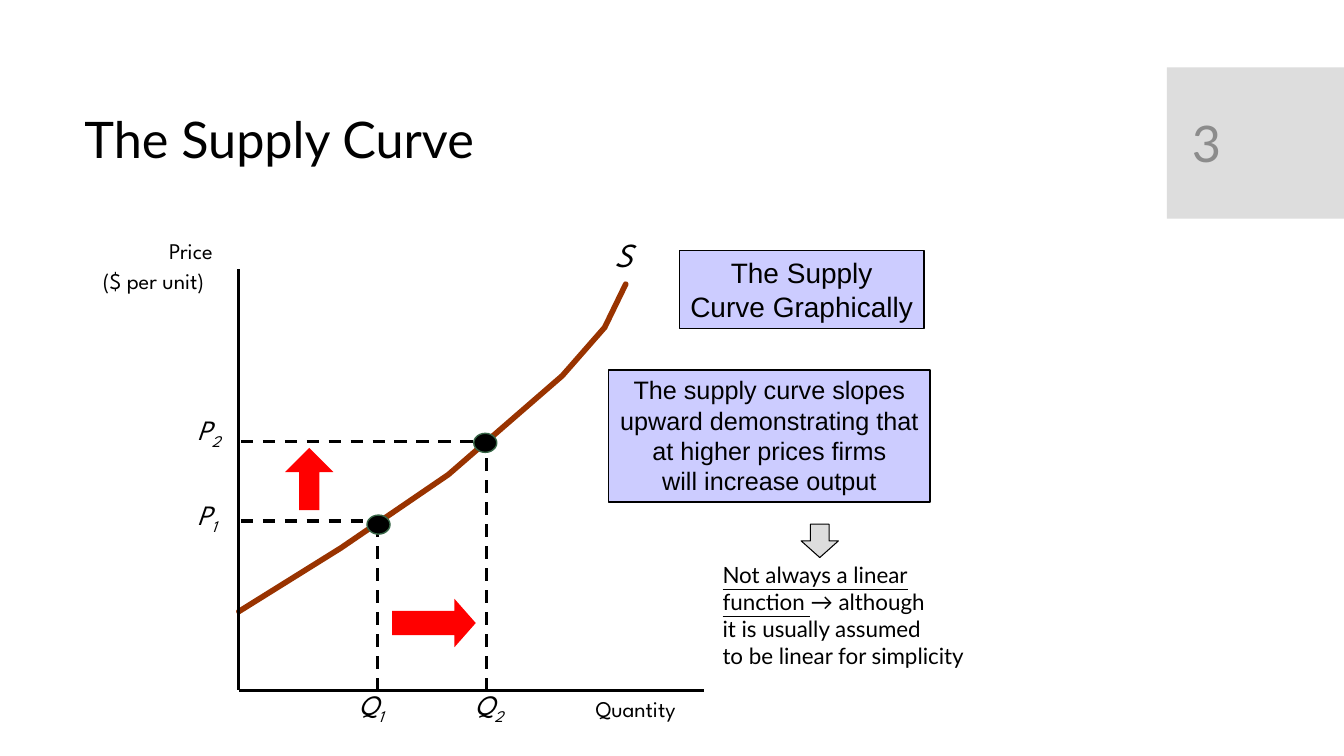
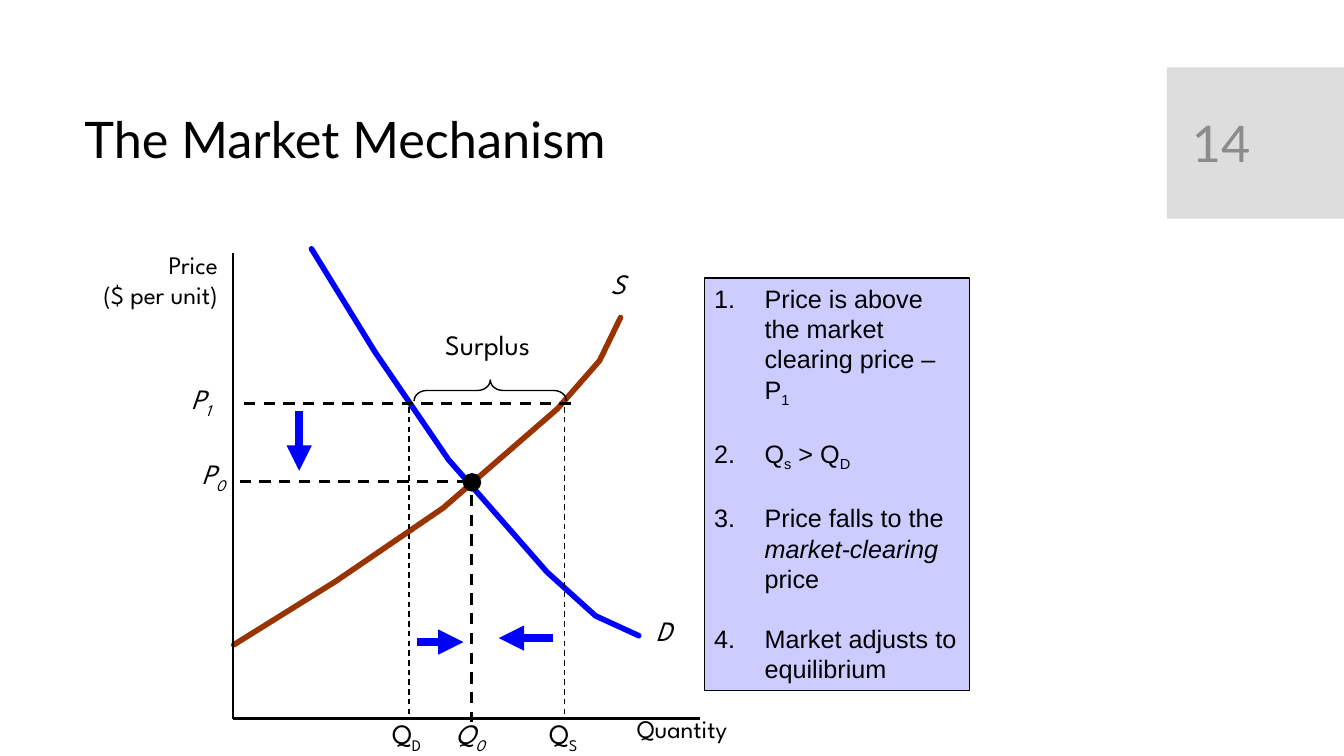
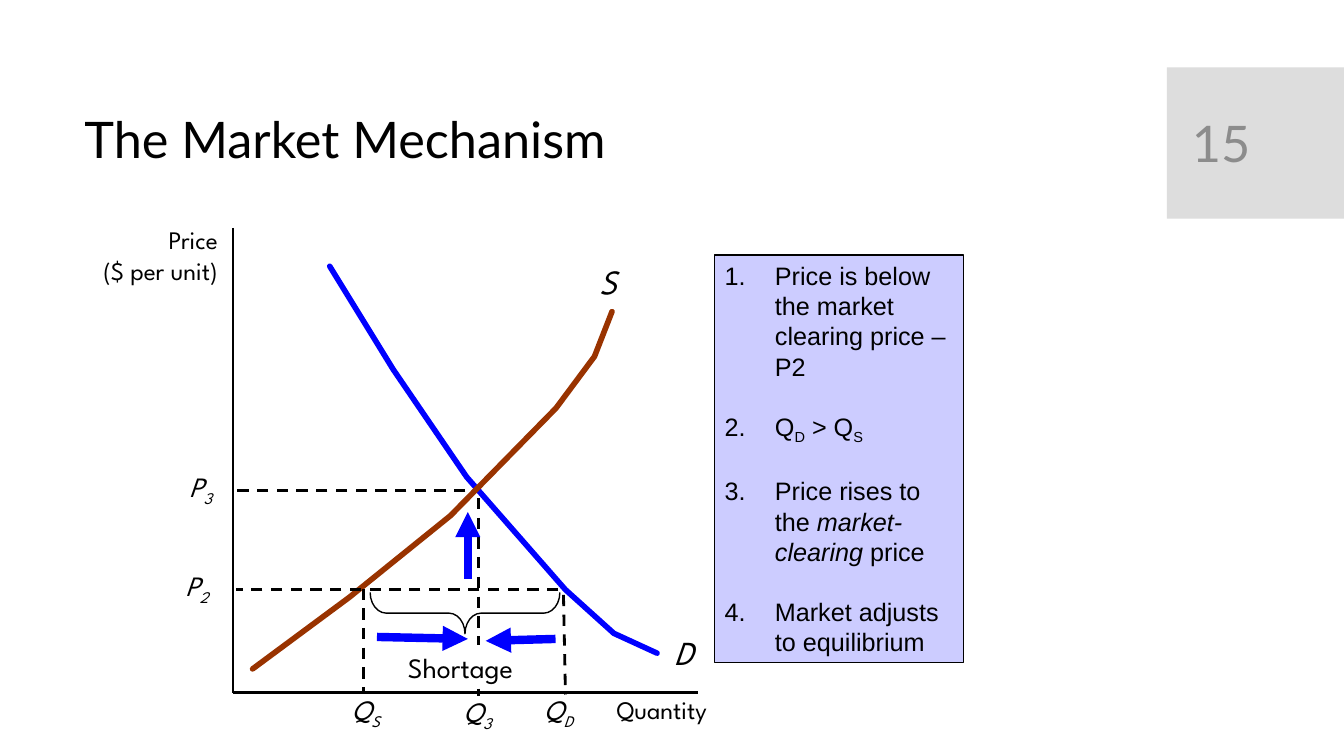
from dataclasses import dataclass
from typing import NamedTuple

from lxml import etree
from pptx import Presentation
from pptx.dml.color import RGBColor
from pptx.enum.dml import MSO_LINE
from pptx.enum.shapes import MSO_CONNECTOR, MSO_SHAPE
from pptx.enum.text import MSO_ANCHOR, MSO_AUTO_SIZE, PP_ALIGN
from pptx.oxml.ns import qn
from pptx.util import Cm, Pt

RECT = MSO_SHAPE.RECTANGLE
OVAL = MSO_SHAPE.OVAL
RIGHT_ARROW = MSO_SHAPE.RIGHT_ARROW
DOWN_ARROW = MSO_SHAPE.DOWN_ARROW
BRACE = MSO_SHAPE.LEFT_BRACE
STRAIGHT = MSO_CONNECTOR.STRAIGHT
DASH = MSO_LINE.DASH
TOP, MIDDLE = MSO_ANCHOR.TOP, MSO_ANCHOR.MIDDLE
LEFT, CENTER, RIGHT = PP_ALIGN.LEFT, PP_ALIGN.CENTER, PP_ALIGN.RIGHT
GROW, FIXED = MSO_AUTO_SIZE.SHAPE_TO_FIT_TEXT, MSO_AUTO_SIZE.NONE


@dataclass(frozen=True)
class Theme:
    black: str = "000000"
    band: str = "DDDDDD"
    page: str = "8C8C8C"
    panel: str = "CCCCFF"
    supply: str = "993300"
    demand: str = "0000FF"
    shift: str = "FF0000"
    rim: str = "376546"
    head: str = "Lato"
    chart: str = "League Spartan"
    body: str = "Arial"
    title: int = 36
    large: int = 24
    mid: int = 20
    text: int = 18
    small: int = 16
    gap: float = 21.5


THEME = Theme()


class Run(NamedTuple):
    words: str
    low: bool = False
    slant: bool = False
    under: bool = False
    size: int | None = None


class Box(NamedTuple):
    x: float
    y: float
    w: float
    h: float

    def cm(self) -> list[int]:
        return [Cm(side) for side in self]


class Line(NamedTuple):
    x1: float
    y1: float
    x2: float
    y2: float


class Curve(NamedTuple):
    points: tuple[tuple[float, float], ...]
    color: str


class Mark(NamedTuple):
    x: float
    y: float
    base: str
    low: str
    slant: bool = True


SUPPLY = Curve(
    ((0, 8.25), (2.57, 6.65), (5.28, 4.8), (8.15, 2.31), (9.22, 1.09), (9.75, 0)),
    THEME.supply,
)
DEMAND = Curve(
    ((0, 0), (1.6, 2.6), (3.45, 5.31), (5.94, 8.15), (7.16, 9.25), (8.25, 9.75)),
    THEME.demand,
)
TILT = -4.6


def paint(color: str) -> RGBColor:
    return RGBColor.from_string(color)


def write(
    frame, paras: list, *, size: int, face: str, color: str = THEME.black,
    align=LEFT, anchor=TOP, wrap: bool = False, fit=GROW,
    lead: float | None = None, gap: float = 0, count: bool = False,
) -> None:
    frame.word_wrap = wrap
    frame.auto_size = fit
    frame.vertical_anchor = anchor
    for index, runs in enumerate(paras):
        para = frame.add_paragraph() if index else frame.paragraphs[0]
        para.alignment = align
        if lead:
            para.line_spacing = lead
        if index and gap:
            para.space_before = Pt(gap)
        if count:
            props = para._p.get_or_add_pPr()
            props.set("marL", str(Cm(1.27)))
            props.set("indent", str(Cm(-1.27)))
            etree.SubElement(props, qn("a:buAutoNum"), type="arabicPeriod")
        for run in [Run(runs)] if isinstance(runs, str) else runs:
            piece = para.add_run()
            piece.text = run.words
            font = piece.font
            font.name = face
            font.size = Pt(run.size or size)
            font.color.rgb = paint(color)
            font.italic = run.slant
            font.underline = run.under
            if run.low:
                piece._r.get_or_add_rPr().set("baseline", "-25000")


def label(slide, box: Box, paras: list, *, turn: float = 0, **style) -> None:
    shape = slide.shapes.add_textbox(*box.cm())
    shape.rotation = turn
    write(shape.text_frame, paras, **style)


def draw(
    slide, kind, box: Box, *, fill: str | None = None, edge: str | None = None,
    width: float = 1, turn: float = 0, bends: tuple[float, ...] = (),
):
    shape = slide.shapes.add_shape(kind, *box.cm())
    shape.shadow.inherit = False
    shape.rotation = turn
    for index, bend in enumerate(bends):
        shape.adjustments[index] = bend
    if fill:
        shape.fill.solid()
        shape.fill.fore_color.rgb = paint(fill)
    else:
        shape.fill.background()
    if edge:
        shape.line.color.rgb = paint(edge)
        shape.line.width = Pt(width)
    else:
        shape.line.fill.background()
    return shape


def panel(slide, box: Box, paras: list, **style) -> None:
    shape = draw(slide, RECT, box, fill=THEME.panel, edge=THEME.black)
    write(shape.text_frame, paras, face=THEME.body, **style)


def steps(slide, box: Box, paras: list, fit) -> None:
    panel(slide, box, paras, size=THEME.text, wrap=True, fit=fit,
          gap=THEME.gap, count=True)


def rule(
    slide, line: Line, *, color: str = THEME.black, width: float = 2,
    dash: bool = False, arrow: bool = False,
) -> None:
    link = slide.shapes.add_connector(STRAIGHT, *[Cm(end) for end in line])
    link.line.color.rgb = paint(color)
    link.line.width = Pt(width)
    if dash:
        link.line.dash_style = DASH
    if arrow:
        etree.SubElement(link.line._get_or_add_ln(), qn("a:tailEnd"), type="triangle")
    etree.SubElement(link._element.spPr, qn("a:effectLst"))


def dashes(slide, lines: list[Line], width: float = 2) -> None:
    for line in lines:
        rule(slide, line, width=width, dash=True)


def moves(slide, lines: list[Line]) -> None:
    for line in lines:
        rule(slide, line, color=THEME.demand, width=6, arrow=True)


def trace(slide, curve: Curve, x: float, y: float, turn: float = 0) -> None:
    first, *rest = [(Cm(across), Cm(down)) for across, down in curve.points]
    pen = slide.shapes.build_freeform(*first)
    pen.add_line_segments(rest, close=False)
    shape = pen.convert_to_shape(Cm(x), Cm(y))
    shape.shadow.inherit = False
    shape.fill.background()
    shape.line.color.rgb = paint(curve.color)
    shape.line.width = Pt(4)
    shape.line._get_or_add_ln().set("cap", "rnd")
    shape.rotation = turn


def name(slide, box: Box, letter: str, size: int, turn: float = 0) -> None:
    label(slide, box, [[Run(letter, slant=True)]], size=size,
          face=THEME.chart, turn=turn)


def marks(slide, items: list[Mark]) -> None:
    for item in items:
        wide = 1.2 if item.base == "P" else 1.42
        runs = [Run(item.base, slant=item.slant),
                Run(item.low, low=True, slant=item.slant)]
        label(slide, Box(item.x, item.y, wide, 1.09), [runs],
              size=THEME.mid, face=THEME.chart)


def axes(slide, x: float, y: float, top: float, end: float) -> None:
    rule(slide, Line(x, top, x, y))
    rule(slide, Line(x, y, end, y))


def units(
    slide, price: Box, count: Box, size: int, *,
    lead: float | None = None, tail: bool = False,
) -> None:
    space = Run(" ", size=THEME.large)
    rate = [Run("($ per unit)")] + [space] * tail
    label(slide, price, ["Price", rate], size=size, face=THEME.chart,
          align=RIGHT, lead=lead)
    label(slide, count, [[Run("Quantity"), space]], size=size, face=THEME.chart)


def start(deck, title: str, page: str):
    slide = deck.slides.add_slide(deck.slide_layouts[6])
    draw(slide, RECT, Box(29.41, 1.7, 4.46, 3.81), fill=THEME.band)
    style = dict(size=THEME.title, face=THEME.head, anchor=MIDDLE, wrap=True, fit=FIXED)
    label(slide, Box(1.88, 2.08, 26.7, 3), [title], lead=0.9, **style)
    label(slide, Box(29.79, 2.08, 3.2, 3.02), [page], color=THEME.page, **style)
    return slide


def supply(deck) -> None:
    slide = start(deck, "The Supply Curve", "3")
    trace(slide, SUPPLY, 6.02, 7.16)
    name(slide, Box(15.24, 5.77, 0.94, 1.27), "S", THEME.large)
    panel(slide, Box(15.34, 9.32, 8.1, 3.33),
          ["The supply curve slopes", "upward demonstrating that",
           "at higher prices firms", "will increase output"],
          size=THEME.text, align=CENTER)
    panel(slide, Box(17.12, 6.32, 6.17, 1.96),
          ["The Supply", "Curve Graphically"], size=THEME.mid, align=CENTER)
    axes(slide, 6.02, 17.4, 6.78, 17.73)
    units(slide, Box(1.88, 5.97, 3.73, 1.63), Box(14.76, 17.12, 3.12, 1.27),
          THEME.small, lead=0.8, tail=True)
    dashes(slide, [
        Line(6.07, 13.13, 9.7, 13.13), Line(9.52, 17.4, 9.52, 13.2),
        Line(6.07, 11.12, 12.42, 11.12), Line(12.27, 17.4, 12.27, 11.05),
    ], 2.25)
    for x, y in ((9.25, 12.98), (11.94, 10.92)):
        draw(slide, OVAL, Box(x, y, 0.58, 0.48), fill=THEME.black, edge=THEME.rim)
    draw(slide, RIGHT_ARROW, Box(9.88, 15.09, 2.11, 1.22), fill=THEME.shift,
         bends=(0.5, 0.44))
    draw(slide, RIGHT_ARROW, Box(7.01, 11.46, 1.57, 1.22), fill=THEME.shift,
         turn=270, bends=(0.42, 0.5))
    marks(slide, [Mark(4.72, 12.42, "P", "1"), Mark(8.79, 17.2, "Q", "1"),
                  Mark(4.72, 10.26, "P", "2"), Mark(11.71, 17.2, "Q", "2")])
    label(slide, Box(17.96, 14.02, 7.44, 3), [
        [Run("Not always a linear", under=True)],
        [Run("function ", under=True), Run("→ although")],
        "it is usually assumed",
        "to be linear for simplicity",
    ], size=THEME.small, face=THEME.head)
    draw(slide, DOWN_ARROW, Box(20.19, 13.21, 0.94, 0.84), fill=THEME.band,
         edge=THEME.black, width=0.75)


def surplus(deck) -> None:
    slide = start(deck, "The Market Mechanism", "14")
    trace(slide, DEMAND, 7.85, 6.27)
    name(slide, Box(16.28, 15.34, 1.04, 1.09), "D", THEME.mid)
    trace(slide, SUPPLY, 5.89, 8)
    name(slide, Box(15.14, 6.6, 0.86, 1.09), "S", THEME.mid)
    dashes(slide, [Line(11.79, 12.14, 5.87, 12.14), Line(11.89, 12.47, 11.89, 18.19),
                   Line(14.38, 10.16, 5.99, 10.16)])
    dashes(slide, [Line(x, 10.26, x, 18.08) for x in (14.22, 10.31)], 1)
    draw(slide, OVAL, Box(11.68, 11.94, 0.43, 0.43), fill=THEME.black, edge=THEME.black)
    steps(slide, Box(17.75, 7.01, 6.68, 10.39), [
        [Run("Price is above the market clearing price – P"), Run("1", low=True)],
        [Run("Q"), Run("s", low=True), Run(" > Q"), Run("D", low=True)],
        [Run("Price falls to the"), Run(" market-clearing", slant=True), Run(" price")],
        "Market adjusts to equilibrium",
    ], FIXED)
    draw(slide, BRACE, Box(12.09, 7.92, 0.53, 3.84), edge=THEME.black, turn=90,
         bends=(0.6, 0.5))
    label(slide, Box(10.97, 8.13, 2.9, 1.09), ["Surplus"], size=THEME.mid,
          face=THEME.chart)
    axes(slide, 5.87, 18.11, 6.38, 17.65)
    units(slide, Box(1.88, 6.15, 3.86, 1.78), Box(15.8, 17.63, 3.43, 1.27), THEME.text)
    marks(slide, [Mark(4.83, 11.38, "P", "0"), Mark(11.23, 17.93, "Q", "0"),
                  Mark(4.57, 9.5, "P", "1"), Mark(13.59, 17.93, "Q", "S", False),
                  Mark(9.63, 17.93, "Q", "D", False)])
    moves(slide, [Line(7.54, 10.36, 7.54, 11.86), Line(10.52, 16.18, 11.68, 16.18),
                  Line(13.94, 16.08, 12.57, 16.08)])


def shortage(deck) -> None:
    slide = start(deck, "The Market Mechanism", "15")
    trace(slide, DEMAND, 8.31, 6.71)
    name(slide, Box(16.74, 15.8, 1.14, 1.27), "D", THEME.large)
    trace(slide, SUPPLY, 6.02, 8.23, TILT)
    name(slide, Box(14.83, 6.45, 0.94, 1.27), "S", THEME.large, TILT)
    tag = Box(10.03, 16.26, 3.66, 1.09)
    dashes(slide, [
        Line(9.17, 14.83, 9.17, 17.48), Line(14.2, 14.99, 14.25, 17.5),
        Line(14.07, 14.86, 5.94, 14.86), Line(11.73, 12.37, 5.92, 12.37),
        Line(12.06, 12.55, 12.06, tag.y), Line(12.06, tag.y + tag.h, 12.06, 17.55),
    ])
    axes(slide, 5.87, 17.45, 5.74, 17.6)
    units(slide, Box(1.88, 5.54, 3.86, 1.78), Box(15.29, 17.15, 3.43, 1.27), THEME.text)
    steps(slide, Box(18.01, 6.43, 6.27, 10.26), [
        "Price is below the market clearing price – P2",
        [Run("Q"), Run("D", low=True), Run(" > Q"), Run("S", low=True)],
        [Run("Price rises to the"), Run(" market-clearing", slant=True), Run(" price")],
        "Market adjusts to equilibrium",
    ], GROW)
    marks(slide, [Mark(8.61, 17.32, "Q", "S"), Mark(13.46, 17.32, "Q", "D"),
                  Mark(4.42, 14.2, "P", "2"), Mark(11.43, 17.37, "Q", "3"),
                  Mark(4.52, 11.71, "P", "3")])
    moves(slide, [Line(9.5, 16.05, 11.79, 16.1), Line(14, 16.1, 12.24, 16.15),
                  Line(11.79, 14.58, 11.79, 12.9)])
    label(slide, tag, ["Shortage"], size=THEME.mid, face=THEME.chart)
    draw(slide, BRACE, Box(11.2, 13.06, 1.04, 4.78), edge=THEME.black, turn=270,
         bends=(0.39, 0.5))


def main() -> None:
    deck = Presentation()
    deck.slide_width, deck.slide_height = Cm(33.87), Cm(19.05)
    supply(deck)
    surplus(deck)
    shortage(deck)
    deck.save("out.pptx")


if __name__ == "__main__":
    main()
